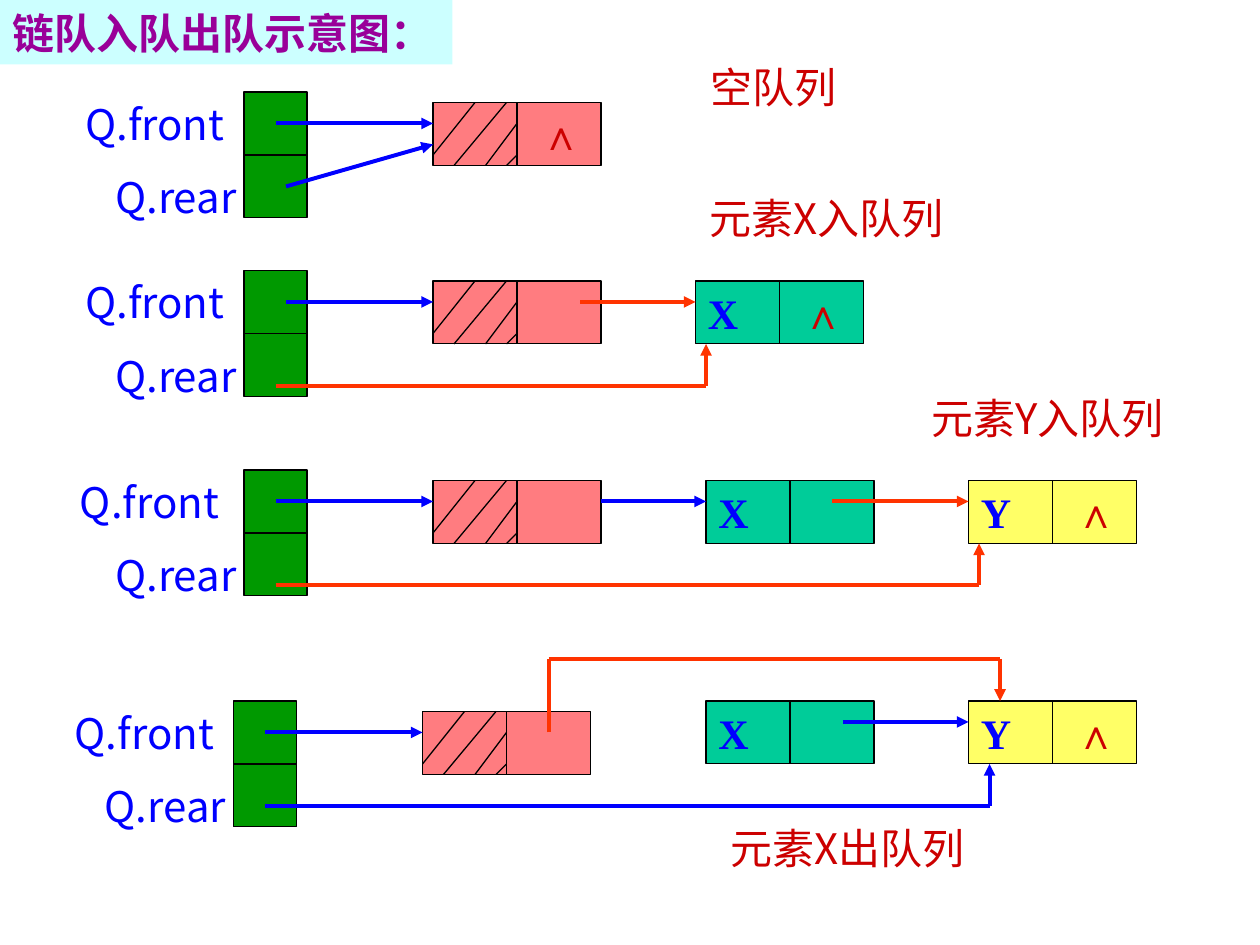
import pptx
import pptx.util
import pptx.oxml
import pptx.oxml.ns
import pptx.oxml.xmlchemy
import pptx.dml.color
import pptx.enum.text
import pptx.enum.shapes

Cm = pptx.util.Cm
Pt = pptx.util.Pt
qn = pptx.oxml.ns.qn
make = pptx.oxml.xmlchemy.OxmlElement
ALIGN = pptx.enum.text.PP_ALIGN
ANCHOR = pptx.enum.text.MSO_ANCHOR

HUES = {
    "green": "009900", "pink": "FF7C80", "teal": "00CC99", "yellow": "FFFF66",
    "pale": "CCFFFF", "blue": "0000FF", "red": "FF3300", "dark": "CC0000",
    "purple": "990099", "black": "000000",
}
SANS = "Noto Sans CJK JP"
TITLE = "链队入队出队示意图："
STEP, LEFT, TOP = 2.54 / 12, -0.16, 0.16

QUEUES = [
    (24, 8, 8, 15, "∧"),
    (24, 25, 8, 15, ""),
    (24, 44, 7, 16, ""),
    (23, 66, 7, 15, ""),
]
NODES = [
    (67, 26, "teal", "X", "∧"),
    (68, 45, "teal", "X", ""),
    (93, 45, "yellow", "Y", "∧"),
    (68, 66, "teal", "X", ""),
    (93, 66, "yellow", "Y", "∧"),
]
HATCH = [((4, 0), (0, 5)), ((7, 0), (2, 6)), ((8, 2), (5, 6)), ((8, 5), (7, 6))]
LINKS = [
    ("blue", [(27, 11), (42, 11)]),
    ("blue", [(28, 17), (42, 13)]),
    ("blue", [(28, 28), (42, 28)]),
    ("red", [(56, 28), (67, 28)]),
    ("red", [(27, 36), (68, 36), (68, 32)]),
    ("blue", [(27, 47), (42, 47)]),
    ("blue", [(58, 47), (68, 47)]),
    ("red", [(80, 47), (93, 47)]),
    ("red", [(27, 55), (94, 55), (94, 51)]),
    ("blue", [(26, 69), (41, 69)]),
    ("blue", [(81, 68), (93, 68)]),
    ("blue", [(26, 76), (95, 76), (95, 72)]),
    ("red", [(53, 69), (53, 62), (96, 62), (96, 66)]),
]
NOTES = [
    (66.4, 4.5, 16, "空队列", "Arial"),
    (66, 17, 27, "元素X入队列", SANS),
    (87, 36, 27, "元素Y入队列", SANS),
    (68, 77, 27, "元素X出队列", SANS),
]


def tint(name):
    return pptx.dml.color.RGBColor.from_string(HUES[name])


def spot(x, y):
    return Cm(LEFT + x * STEP), Cm(TOP + y * STEP)


def span(wide, high):
    return Cm(wide * STEP), Cm(high * STEP)


def say(shape, text, face=SANS, hue="blue", bold=False, align=ALIGN.CENTER, wrap=True):
    frame = shape.text_frame
    frame.word_wrap = wrap
    para = frame.paragraphs[0]
    para.alignment = align
    run = para.add_run()
    run.text = text
    font = run.font
    font.name, font.size, font.bold = face, Pt(24), bold
    font.color.rgb = tint(hue)
    east = make("a:ea")
    east.set("typeface", SANS)
    run._r.get_or_add_rPr().find(qn("a:latin")).addnext(east)


def label(slide, x, y, wide, text, pad=None, **look):
    box = slide.shapes.add_textbox(*spot(x, y), *span(wide, 6))
    if pad is not None:
        box.text_frame.margin_left = box.text_frame.margin_right = Cm(pad)
    say(box, text, **look)


def block(slide, x, y, wide, high, hue):
    box = slide.shapes.add_shape(
        pptx.enum.shapes.MSO_SHAPE.RECTANGLE, *spot(x, y), *span(wide, high))
    box.shadow.inherit = False
    box.fill.solid()
    box.fill.fore_color.rgb = tint(hue)
    box.line.color.rgb = tint("black")
    box.line.width = Pt(0.75)
    return box


def stroke(slide, start, end, hue="black", width=0.75, head=False):
    line = slide.shapes.add_connector(
        pptx.enum.shapes.MSO_CONNECTOR.STRAIGHT, *spot(*start), *spot(*end))
    line.line.color.rgb = tint(hue)
    line.line.width = Pt(width)
    props = line._element.spPr
    if head:
        tail = make("a:tailEnd")
        tail.set("type", "triangle")
        props.find(qn("a:ln")).append(tail)
    props.append(make("a:effectLst"))


def node(slide, x, y, hue, name, mark):
    box = block(slide, x, y, 16, 6, hue)
    stroke(slide, (x + 8, y), (x + 8, y + 6))
    box.text_frame.vertical_anchor = ANCHOR.MIDDLE
    if mark:
        tabs, stop = make("a:tabLst"), make("a:tab")
        stop.set("pos", str(int(Cm(2.33))))
        stop.set("algn", "ctr")
        tabs.append(stop)
        box.text_frame.paragraphs[0]._p.get_or_add_pPr().append(tabs)
    if name:
        say(box, name, face="Times New Roman", bold=True, align=ALIGN.LEFT)
    if mark:
        say(box, "\t" + mark, face="Arial", hue="dark", align=ALIGN.LEFT)


def queue(slide, x, y, left, wide, mark):
    block(slide, x, y, 6, 12, "green")
    stroke(slide, (x, y + 6), (x + 6, y + 6))
    label(slide, left, y, wide, "Q.front", pad=0.05)
    label(slide, x - 13, y + 7, 13, "Q.rear", pad=0.05)
    node(slide, x + 18, y + 1, "pink", "", mark)
    for (ax, ay), (bx, by) in HATCH:
        stroke(slide, (x + 18 + ax, y + 1 + ay), (x + 18 + bx, y + 1 + by))


def main():
    deck = pptx.Presentation()
    deck.slide_width, deck.slide_height = Cm(25.4), Cm(19.05)
    slide = deck.slides.add_slide(deck.slide_layouts[5])
    title = slide.shapes.title
    title.left, title.top, title.width, title.height = Cm(0), Cm(0), Cm(9.12), Cm(1.3)
    title.fill.solid()
    title.fill.fore_color.rgb = tint("pale")
    title.text_frame.auto_size = pptx.enum.text.MSO_AUTO_SIZE.NONE
    title.text_frame.vertical_anchor = ANCHOR.MIDDLE
    say(title, TITLE, face="Montserrat", hue="purple", bold=True,
        align=ALIGN.LEFT, wrap=False)
    for item in QUEUES:
        queue(slide, *item)
    for item in NODES:
        node(slide, *item)
    for hue, points in LINKS:
        for start, end in zip(points, points[1:]):
            stroke(slide, start, end, hue, 2.25, head=end == points[-1])
    for x, y, wide, text, face in NOTES:
        label(slide, x, y, wide, text, face=face, hue="dark")
    deck.save("out.pptx")


if __name__ == "__main__":
    main()
